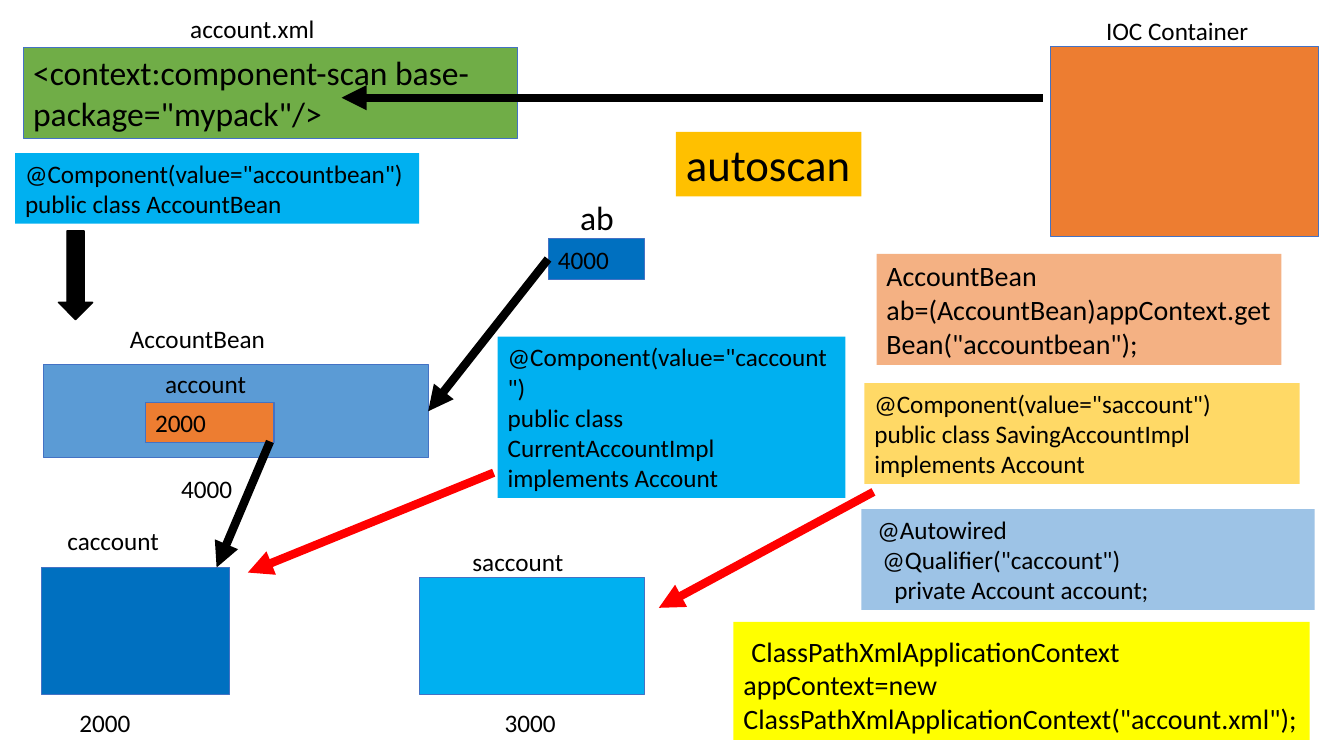
from lxml import etree
from pptx import Presentation
from pptx import util as u
from pptx.dml.color import RGBColor
from pptx.enum import shapes, text
from pptx.oxml import ns

SCALE = 9144
BLACK, RED, EDGE = "000000", "FF0000", "4472C4"
GREEN, GOLD, SAND, YELLOW = "70AD47", "FFC000", "FFD966", "FFFF00"
ORANGE, PEACH = "ED7D31", "F4B183"
NAVY, SKY, STEEL, PALE = "0070C0", "00B0F0", "5B9BD5", "9DC3E6"


def px(n):
    return u.Emu(n * SCALE)


def tint(code):
    return RGBColor.from_string(code)


class Board:
    """Draws labelled boxes and arrows on one slide in a shared style."""

    font = "Calibri"

    def __init__(self, deck):
        self.slide = deck.slides.add_slide(deck.slide_layouts[6])
        self.items = self.slide.shapes

    def letter(self, shape, words, size=18, shifts=(), top=5):
        frame = shape.text_frame
        frame.text = words
        frame.word_wrap = True
        frame.vertical_anchor = text.MSO_ANCHOR.TOP
        frame.margin_left = frame.margin_right = px(10)
        frame.margin_top, frame.margin_bottom = px(top), px(5)
        for line in frame.paragraphs:
            line.alignment = text.PP_ALIGN.LEFT
            for run in line.runs:
                run.font.name = self.font
                run.font.size = u.Pt(size)
                run.font.color.rgb = tint(BLACK)
        for line, shift in zip(frame.paragraphs, shifts):
            props = line._p.get_or_add_pPr()
            props.set("marL", "0")
            props.set("indent", str(px(shift)))

    def label(self, x, y, w, words, h=40, size=18):
        self.letter(self.items.add_textbox(px(x), px(y), px(w), px(h)), words, size)

    def box(self, x, y, w, h, fill, words="", edge=None, width=0.75,
            kind=shapes.MSO_SHAPE.RECTANGLE, **style):
        shape = self.items.add_shape(kind, px(x), px(y), px(w), px(h))
        shape.shadow.inherit = False
        shape.fill.solid()
        shape.fill.fore_color.rgb = tint(fill)
        if edge:
            shape.line.color.rgb = tint(edge)
            shape.line.width = u.Pt(width)
        else:
            shape.line.fill.background()
        if words:
            self.letter(shape, words, **style)

    def arrow(self, x1, y1, x2, y2, color=BLACK):
        link = self.items.add_connector(
            shapes.MSO_CONNECTOR.STRAIGHT, px(x1), px(y1), px(x2), px(y2))
        link.line.color.rgb = tint(color)
        link.line.width = u.Pt(6)
        props = link._element.spPr
        etree.SubElement(props.find(ns.qn("a:ln")), ns.qn("a:tailEnd"), type="triangle")
        etree.SubElement(props, ns.qn("a:effectLst"))


def main():
    deck = Presentation()
    deck.slide_width, deck.slide_height = px(1334), px(750)
    board = Board(deck)

    board.box(23, 47, 491, 90, GREEN,
              '<context:component-scan base-package="mypack"/>', EDGE, size=24)
    board.label(179, 8, 177, "account.xml")
    board.box(1043, 46, 266, 189, ORANGE, edge=EDGE)
    board.label(1088, 10, 177, "IOC Container")
    board.box(728, 617, 572, 117, YELLOW,
              "ClassPathXmlApplicationContext appContext=new "
              'ClassPathXmlApplicationContext("account.xml");',
              size=20, shifts=(8,), top=12)
    board.arrow(1035, 97, 339, 97)

    board.box(15, 152, 401, 70, SKY,
              '@Component(value="accountbean")\npublic class AccountBean')
    board.box(494, 334, 345, 160, SKY,
              '@Component(value="caccount")\n'
              "public class CurrentAccountImpl implements Account")
    board.arrow(490, 469, 246, 568, RED)
    board.box(58, 229, 34, 88, BLACK, edge=BLACK, width=1,
              kind=shapes.MSO_SHAPE.DOWN_ARROW)
    board.box(671, 131, 184, 64, GOLD, "autoscan", size=32)
    board.box(855, 505, 450, 100, PALE,
              '@Autowired\n@Qualifier("caccount")\nprivate Account account;',
              shifts=(6, 11, 23))

    board.box(43, 362, 382, 92, STEEL, edge=EDGE)
    board.label(119, 316, 191, "AccountBean")
    board.box(144, 399, 128, 40, ORANGE, "2000", EDGE)
    board.box(41, 563, 187, 126, NAVY, edge=EDGE)
    board.box(416, 573, 224, 116, SKY, edge=EDGE)
    board.label(57, 516, 125, "caccount")
    board.label(459, 537, 125, "saccount")
    for x, y, funds in ((69, 697, "2000"), (491, 697, "3000"), (170, 465, "4000")):
        board.label(x, y, 76, funds)

    board.box(870, 252, 402, 110, PEACH,
              'AccountBean ab=(AccountBean)appContext.getBean("accountbean");',
              size=20)
    board.box(544, 237, 96, 40, NAVY, "4000", EDGE)
    board.label(154, 360, 110, "account")
    board.arrow(544, 257, 425, 408)
    board.box(858, 380, 432, 100, SAND,
              '@Component(value="saccount")\n'
              "public class SavingAccountImpl implements Account")
    board.arrow(867, 488, 654, 603, RED)
    board.arrow(268, 438, 215, 563)
    board.label(566, 190, 58, "ab", h=50, size=24)

    deck.save("out.pptx")


if __name__ == "__main__":
    main()
